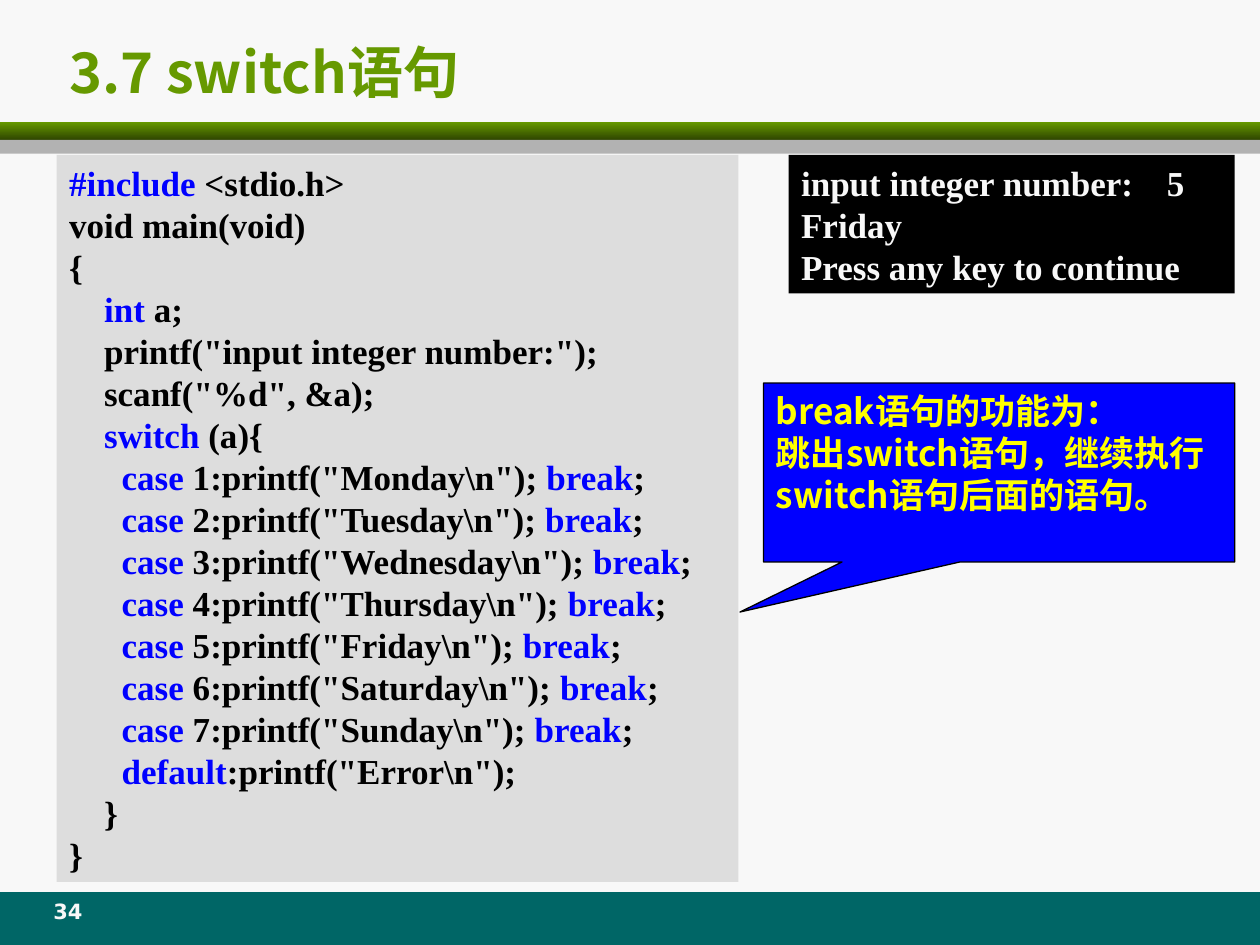
from pptx import Presentation
from pptx.dml.color import RGBColor
from pptx.enum.shapes import MSO_SHAPE
from pptx.enum.text import MSO_ANCHOR, PP_ALIGN
from pptx.oxml.ns import qn
from pptx.util import Inches, Pt
from lxml import etree

RECT = MSO_SHAPE.RECTANGLE
WEDGE = MSO_SHAPE.RECTANGULAR_CALLOUT
TOP, MID = MSO_ANCHOR.TOP, MSO_ANCHOR.MIDDLE
LEFT, CENTER = PP_ALIGN.LEFT, PP_ALIGN.CENTER

WIDE, HIGH = 10, 7.5
COLS, ROWS = 100, 75
GREEN, TEAL, GRAY, PALE = "669900", "006666", "B2B2B2", "F8F8F8"
BLACK, BLUE, YELLOW, PANEL = "000000", "0000FF", "FFFF00", "DDDDDD"

SERIF = {"name": "Times New Roman", "size": Pt(20), "bold": True}
SANS = {"name": "Noto Sans CJK SC", "size": Pt(20), "bold": True}
HEAD = {"name": "Noto Sans CJK JP", "size": Pt(32), "bold": True}
FOOT = {"name": "DejaVu Sans", "size": Pt(12), "bold": True}

DAYS = ["Monday", "Tuesday", "Wednesday", "Thursday", "Friday", "Saturday", "Sunday"]
CODE = [
    "|#include| <stdio.h>",
    "void main(void)",
    "{",
    "    |int| a;",
    '    printf("input integer number:");',
    '    scanf("%d", &a);',
    "    |switch| (a){",
    *[f'      |case| {n}:printf("{day}\\n"); |break|;' for n, day in enumerate(DAYS, 1)],
    '      |default|:printf("Error\\n");',
    "    }",
    "}",
]
OUTPUT = ["input integer number:\t5", "Friday", "Press any key to continue"]
NOTE = ["break语句的功能为：", "跳出switch语句，继续执行 switch语句后面的语句。"]


def rgb(color):
    return RGBColor.from_string(color)


def place(box):
    x, y, w, h = box
    return (Inches(x * WIDE / COLS), Inches(y * HIGH / ROWS),
            Inches(w * WIDE / COLS), Inches(h * HIGH / ROWS))


def block(slide, box, fill, kind=RECT):
    shape = slide.shapes.add_shape(kind, *place(box))
    shape.shadow.inherit = False
    shape.fill.solid()
    shape.fill.fore_color.rgb = rgb(fill)
    shape.line.fill.background()
    return shape


def style(run, look, color):
    for key, value in look.items():
        setattr(run.font, key, value)
    run.font.color.rgb = rgb(color)
    east = etree.SubElement(run.font._element, qn("a:ea"))
    east.set("typeface", look["name"])


def write(shape, lines, look, color, mark=BLUE, anchor=TOP, align=LEFT):
    frame = shape.text_frame
    frame.word_wrap = True
    frame.vertical_anchor = anchor
    for i, line in enumerate(lines):
        para = frame.add_paragraph() if i else frame.paragraphs[0]
        para.alignment = align
        for j, part in enumerate(line.split("|")):
            if part:
                run = para.add_run()
                run.text = part
                style(run, look, mark if j % 2 else color)
    return frame


def title(slide, box):
    text = slide.shapes.add_textbox(*place(box))
    write(text, ["3.7 switch语句"], HEAD, GREEN, anchor=MID)


def rule(slide, box):
    x, y, w, h = box
    cut = h * 0.56
    band = block(slide, (x, y, w, cut), GREEN)
    band.fill.gradient()
    band.fill.gradient_angle = 270
    for stop, color in zip(band.fill.gradient_stops, (GREEN, "2F4600")):
        stop.color.rgb = rgb(color)
    block(slide, (x, y + cut, w, h - cut), GRAY)


def footer(slide, box):
    x, y, w, h = box
    block(slide, box, TEAL)
    text = slide.shapes.add_textbox(*place((x + w * 0.025, y, w * 0.058, h * 0.79)))
    write(text, ["34"], FOOT, PALE, align=CENTER)


def code(slide, box):
    write(block(slide, box, PANEL), CODE, SERIF, BLACK)


def console(slide, box):
    frame = write(block(slide, box, BLACK), OUTPUT, SERIF, PALE)
    props = frame.paragraphs[0]._p.get_or_add_pPr()
    tabs = etree.SubElement(props, qn("a:tabLst"))
    stop = etree.SubElement(tabs, qn("a:tab"))
    stop.set("pos", str(Inches(box[2] * 0.82 * WIDE / COLS)))
    stop.set("algn", "l")


def note(slide, box):
    shape = block(slide, box, BLUE, WEDGE)
    shape.adjustments[0] = -0.55
    shape.adjustments[1] = 0.78
    shape.line.color.rgb = rgb(BLACK)
    shape.line.width = Pt(0.75)
    write(shape, NOTE, SANS, YELLOW)


def main():
    deck = Presentation()
    deck.slide_width, deck.slide_height = Inches(WIDE), Inches(HIGH)
    slide = deck.slides.add_slide(deck.slide_layouts[6])
    back = slide.background.fill
    back.solid()
    back.fore_color.rgb = rgb(PALE)
    footer(slide, (0, 70.8, COLS, 4.2))
    rule(slide, (0, 9.7, COLS, 2.5))
    title(slide, (4.5, 2.3, 93.5, 6.7))
    code(slide, (4.5, 12.3, 54.1, 57.7))
    console(slide, (62.6, 12.3, 35.4, 11))
    note(slide, (60.6, 30.4, 37.4, 14.2))
    deck.save("out.pptx")


if __name__ == "__main__":
    main()
